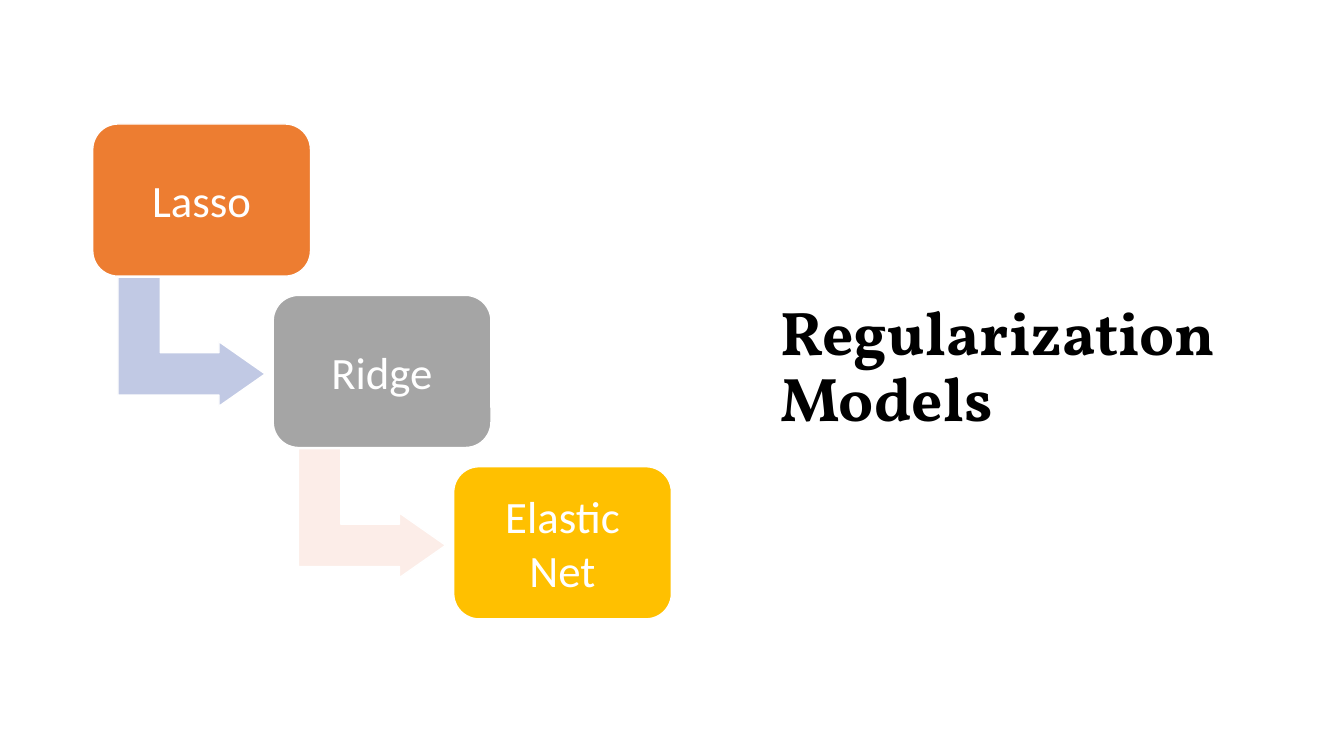
from pptx import Presentation
from pptx.dml.color import RGBColor
from pptx.enum.shapes import MSO_SHAPE
from pptx.enum.text import MSO_ANCHOR, MSO_AUTO_SIZE, PP_ALIGN
from pptx.util import Inches, Pt

TITLE = "Regularization Models"
# model, box colour, colour of the arrow to the next model
STEPS = [
    ("Lasso", "orange", "blue"),
    ("Ridge", "gray", "pink"),
    ("Elastic Net", "gold", None),
]
COLORS = {
    "orange": "ED7D31", "gray": "A5A5A5", "gold": "FFC000",
    "blue": "C1C9E4", "pink": "FCEDE8", "white": "FFFFFF", "black": "000000",
}
HEAD = {"name": "Vollkorn", "size": Pt(44), "bold": True}
LABEL = {"name": "Calibri", "size": Pt(32), "bold": False}

LEFT, TOP = 0.92, 1.23
STEP_X, STEP_Y = 1.79, 1.7
BOX = (2.16, 1.51)
ARROW = (1.28, 1.46)
DROP = (0.34, 1.43)  # arrow offset from its box


def color(name):
    return RGBColor.from_string(COLORS[name])


def write(frame, text, font, tint, align):
    frame.text = text
    frame.word_wrap = True
    frame.auto_size = MSO_AUTO_SIZE.NONE
    frame.vertical_anchor = MSO_ANCHOR.MIDDLE
    par = frame.paragraphs[0]
    par.alignment = align
    run = par.runs[0]
    for key, value in font.items():
        setattr(run.font, key, value)
    run.font.color.rgb = color(tint)
    return par


def draw(slide, kind, x, y, size, fill, adjust):
    shape = slide.shapes.add_shape(kind, *map(Inches, (x, y, *size)))
    shape.shadow.inherit = False
    shape.fill.solid()
    shape.fill.fore_color.rgb = color(fill)
    shape.line.color.rgb = color("white")
    shape.line.width = Pt(1)
    for i, value in enumerate(adjust):
        shape.adjustments[i] = value
    return shape


def main():
    deck = Presentation()
    deck.slide_width, deck.slide_height = Inches(13.33), Inches(7.5)
    slide = deck.slides.add_slide(deck.slide_layouts[5])

    title = slide.shapes.title
    place = {"left": 7.64, "top": 0.61, "width": 4.78, "height": 6.09}
    for key, value in place.items():
        setattr(title, key, Inches(value))
    par = write(title.text_frame, TITLE, HEAD, "black", PP_ALIGN.LEFT)
    par.line_spacing = 0.9

    for i, (name, fill, next_fill) in enumerate(STEPS):
        x, y = LEFT + i * STEP_X, TOP + i * STEP_Y
        if next_fill:
            arrow = draw(slide, MSO_SHAPE.BENT_UP_ARROW, x + DROP[0], y + DROP[1],
                         ARROW, next_fill, (0.328, 0.25, 0.358))
            arrow.rotation = 90
        box = draw(slide, MSO_SHAPE.ROUNDED_RECTANGLE, x, y, BOX, fill, (0.167,))
        frame = box.text_frame
        for side in ("left", "top", "right", "bottom"):
            setattr(frame, f"margin_{side}", Inches(0.13))
        write(frame, name, LABEL, "white", PP_ALIGN.CENTER)

    deck.save("out.pptx")


if __name__ == "__main__":
    main()
